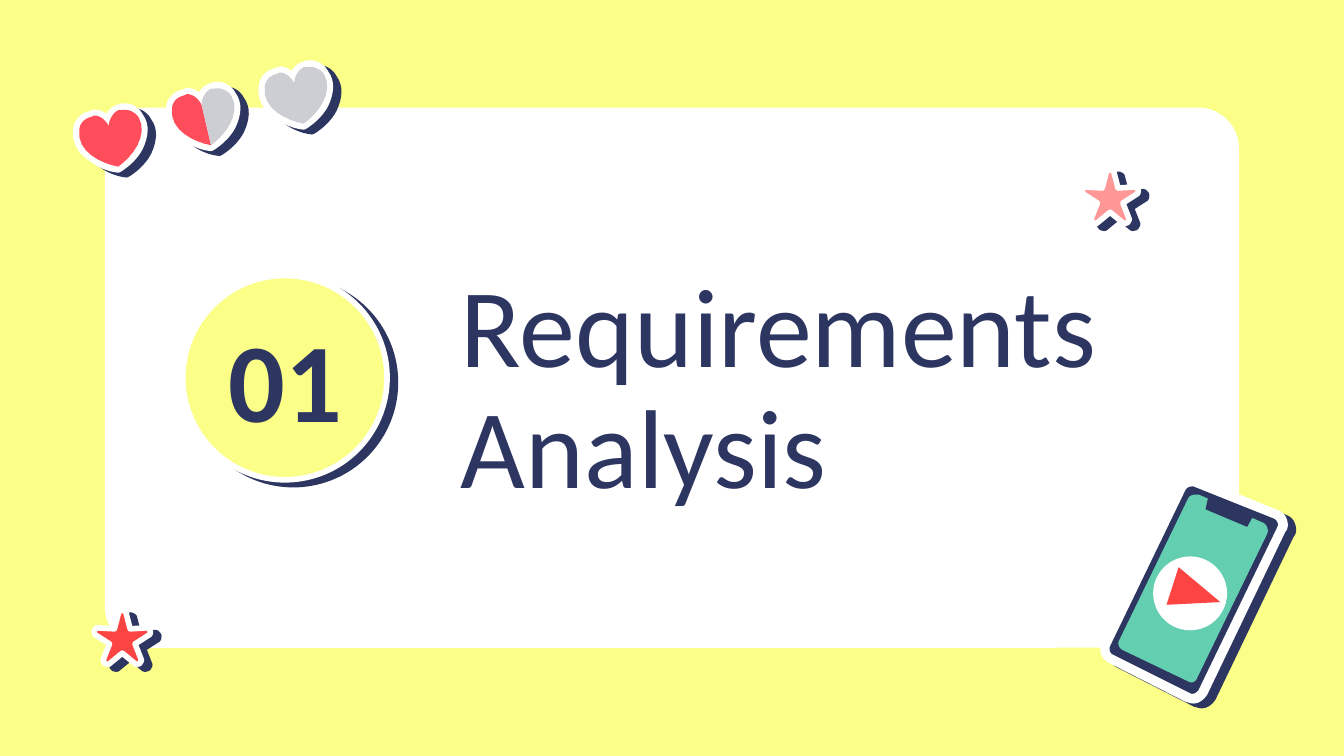
"""Build a section title slide with sticker art."""
import math
import pptx
import pptx.dml.color
import pptx.enum.shapes
import pptx.enum.text
import pptx.oxml
import pptx.oxml.ns
import pptx.util

Inches = pptx.util.Inches
Pt = pptx.util.Pt
Kind = pptx.enum.shapes.MSO_SHAPE
Align = pptx.enum.text.PP_ALIGN


class Theme:
    """Colours, font and type size of the deck."""
    lemon = "FBFF87"
    white = "FFFFFF"
    navy = "2D3561"
    pink = "FF9797"
    red = "FC4443"
    rose = "FF4D5B"
    grey = "CDCED3"
    mint = "64CFB0"
    font = "Calibri"
    size = 60


def tint(name):
    """Return the colour for a hex code."""
    return pptx.dml.color.RGBColor.from_string(name)


def trace(path):
    """Turn a start point, line ends and cubic curves into plain points."""
    spots = []
    for step in path:
        knots = [complex(*pair) for pair in zip(step[::2], step[1::2])]
        if len(knots) == 1:
            spots += knots
            continue
        a, (b, c, d) = spots[-1], knots
        for t in (k / 8 for k in range(1, 9)):
            s = 1 - t
            spots.append(a * s**3 + 3 * b * s * s * t + 3 * c * s * t * t + d * t**3)
    return spots


def shift(path, dx, dy):
    """Move a path by an offset."""
    return [tuple(v + (dy if k % 2 else dx) for k, v in enumerate(step)) for step in path]


def star(x, y):
    """Return a five-pointed star with blunt tips."""
    path = []
    for tip in range(-90, 270, 72):
        for turn, reach in ((-7, 0.21), (0, 0.22), (7, 0.21), (36, 0.1)):
            angle = math.radians(tip + turn)
            path.append((x + reach * math.cos(angle), y + reach * math.sin(angle)))
    return path


class Page:
    """A slide with the theme and one method for each kind of element."""

    def __init__(self, slide, theme):
        """Keep the slide and paint its background."""
        self.slide, self.theme = slide, theme
        self.host = slide.shapes
        slide.background.fill.solid()
        slide.background.fill.fore_color.rgb = tint(theme.lemon)

    def paint(self, shape, fill, rim):
        """Fill a shape and give stickers a white rim and hard shadow."""
        shape.fill.solid()
        shape.fill.fore_color.rgb = tint(fill)
        shape.shadow.inherit = False
        if not rim:
            shape.line.fill.background()
            return shape
        shape.line.color.rgb = tint(self.theme.white)
        shape.line.width = Pt(rim)
        qn = pptx.oxml.ns.qn
        effects = shape.element.spPr.find(qn("a:effectLst"))
        effects.append(pptx.oxml.parse_xml(
            f'<a:outerShdw {pptx.oxml.ns.nsdecls("a")} dist="{Pt(5.2)}" dir="1800000" '
            f'algn="bl" rotWithShape="0"><a:srgbClr val="{self.theme.navy}"/></a:outerShdw>'))
        return shape

    def block(self, kind, box, fill, rim=0):
        """Add a preset shape."""
        return self.paint(self.host.add_shape(kind, *map(Inches, box)), fill, rim)

    def shape(self, path, fill, rim=0, tilt=0):
        """Add a free outline whose frame is tilted by an angle."""
        angle = math.radians(tilt)
        turn = complex(math.cos(angle), math.sin(angle))
        spots = [spot / turn for spot in trace(path)]
        wide = [spot.real for spot in spots]
        tall = [spot.imag for spot in spots]
        mid = complex(min(wide) + max(wide), min(tall) + max(tall)) / 2
        move = mid * turn - mid
        ends = [(Inches((s + move).real), Inches((s + move).imag)) for s in spots]
        pen = self.host.build_freeform(*ends[0], scale=1.0)
        pen.add_line_segments(ends[1:], close=True)
        form = self.paint(pen.convert_to_shape(), fill, rim)
        form.rotation = tilt

    def group(self):
        """Send the next shapes to a new group."""
        self.host = self.slide.shapes.add_group_shape().shapes

    def leave(self):
        """Send the next shapes to the slide again."""
        self.host = self.slide.shapes

    def text(self, holder, box, words, align, bold=False, pitch=1.0):
        """Place a text placeholder on top and style its words."""
        holder.left, holder.top, holder.width, holder.height = map(Inches, box)
        self.slide.shapes.element.append(holder.element)
        frame = holder.text_frame
        frame.text = words
        frame.word_wrap = True
        frame.auto_size = pptx.enum.text.MSO_AUTO_SIZE.NONE
        frame.vertical_anchor = pptx.enum.text.MSO_ANCHOR.MIDDLE
        frame.margin_left = frame.margin_right = Inches(0.1)
        frame.margin_top = frame.margin_bottom = Inches(0.1)
        line = frame.paragraphs[0]
        line.alignment, line.line_spacing, line.space_before = align, pitch, Pt(0)
        font = line.runs[0].font
        font.name, font.size, font.bold = self.theme.font, Pt(self.theme.size), bold
        font.color.rgb = tint(self.theme.navy)


def phone(page):
    """Draw the phone with its play button."""
    hue = page.theme
    page.group()
    page.shape([
        (8.87, 3.56), (8.83, 3.56, 8.79, 3.59, 8.77, 3.62), (8.21, 4.79),
        (8.19, 4.84, 8.21, 4.9, 8.26, 4.92), (8.83, 5.21),
        (8.84, 5.21, 8.86, 5.22, 8.88, 5.22), (8.92, 5.22, 8.95, 5.19, 8.97, 5.16),
        (9.55, 3.95), (9.57, 3.93, 9.57, 3.9, 9.56, 3.87),
        (9.55, 3.84, 9.53, 3.82, 9.5, 3.81), (8.91, 3.57),
    ], hue.white, 2.25)
    page.shape([
        (8.87, 3.62), (8.85, 3.62, 8.83, 3.63, 8.82, 3.65), (8.26, 4.81),
        (8.25, 4.83, 8.26, 4.86, 8.28, 4.87), (8.86, 5.16),
        (8.88, 5.17, 8.91, 5.15, 8.92, 5.13), (9.5, 3.93),
        (9.52, 3.9, 9.5, 3.87, 9.48, 3.86), (8.88, 3.62),
    ], hue.navy)
    page.shape([
        (8.9, 3.68), (8.87, 3.68, 8.85, 3.69, 8.84, 3.71), (8.33, 4.76),
        (8.31, 4.79, 8.33, 4.83, 8.36, 4.84), (8.84, 5.07),
        (8.87, 5.09, 8.9, 5.07, 8.91, 5.04), (9.43, 3.97),
        (9.44, 3.94, 9.43, 3.91, 9.4, 3.89), (8.92, 3.68),
    ], hue.mint)
    page.block(Kind.OVAL, (8.58, 4.14, 0.55, 0.55), hue.white)
    page.shape([(8.99, 3.7), (8.97, 3.79), (9.28, 3.92), (9.33, 3.83)], hue.navy)
    page.shape([(8.77, 4.22), (8.68, 4.5), (9.08, 4.48)], hue.red)
    page.leave()


def hearts(page):
    """Draw a full, a half and an empty heart on a rising line."""
    hue, tilt = page.theme, -12.9
    rim = [
        (0.68, 0.84), (0.61, 0.85, 0.56, 0.91, 0.56, 0.97),
        (0.55, 1.05, 0.59, 1.13, 0.67, 1.18), (0.73, 1.23, 0.8, 1.26, 0.88, 1.27),
        (0.9, 1.26), (0.96, 1.22, 1.02, 1.16, 1.05, 1.1),
        (1.09, 1.01, 1.1, 0.93, 1.05, 0.86), (1.02, 0.8, 0.95, 0.77, 0.89, 0.79),
        (0.83, 0.81, 0.81, 0.84, 0.8, 0.87), (0.77, 0.85, 0.74, 0.83, 0.7, 0.83),
    ]
    left = [
        (0.81, 0.94), (0.79, 0.9, 0.75, 0.86, 0.7, 0.86), (0.68, 0.87),
        (0.63, 0.88, 0.59, 0.92, 0.59, 0.97), (0.57, 1.13, 0.76, 1.22, 0.88, 1.24),
    ]
    right = [
        (0.88, 1.24), (0.98, 1.17, 1.11, 1.01, 1.03, 0.87),
        (1, 0.83, 0.95, 0.81, 0.9, 0.82), (0.88, 0.82),
        (0.84, 0.84, 0.81, 0.89, 0.81, 0.94),
    ]
    full = left + right[1:]
    page.group()
    for k in range(3):
        page.shape(shift(rim, 0.69 * k, -0.16 * k), hue.white, 2.25, tilt)
    for k, path, fill in ((0, full, hue.rose), (1, left, hue.rose),
                          (1, right, hue.grey), (2, full, hue.grey)):
        page.shape(shift(path, 0.69 * k, -0.16 * k), fill, tilt=tilt)
    page.leave()


def main():
    """Build and save the deck."""
    deck = pptx.Presentation()
    deck.slide_width, deck.slide_height = Inches(10), Inches(10 * 9 / 16)
    hue = Theme()
    page = Page(deck.slides.add_slide(deck.slide_layouts[0]), hue)
    title, mark = page.slide.placeholders
    panel = page.block(Kind.ROUNDED_RECTANGLE, (0.78, 0.8, 8.44, 4.02), hue.white)
    panel.adjustments[0] = 0.076
    page.block(Kind.OVAL, (1.36, 2.05, 1.52, 1.52), hue.lemon, 3)
    page.text(title, (3.33, 2.43, 5.31, 0.97), "Requirements Analysis", Align.LEFT, pitch=0.9)
    page.text(mark, (1.4, 2.3, 1.45, 1.02), "01", Align.CENTER, bold=True)
    page.shape(star(8.26, 1.48), hue.pink, 3)
    phone(page)
    hearts(page)
    page.shape(star(0.91, 4.76), hue.red, 3)
    deck.save("out.pptx")


if __name__ == "__main__":
    main()
